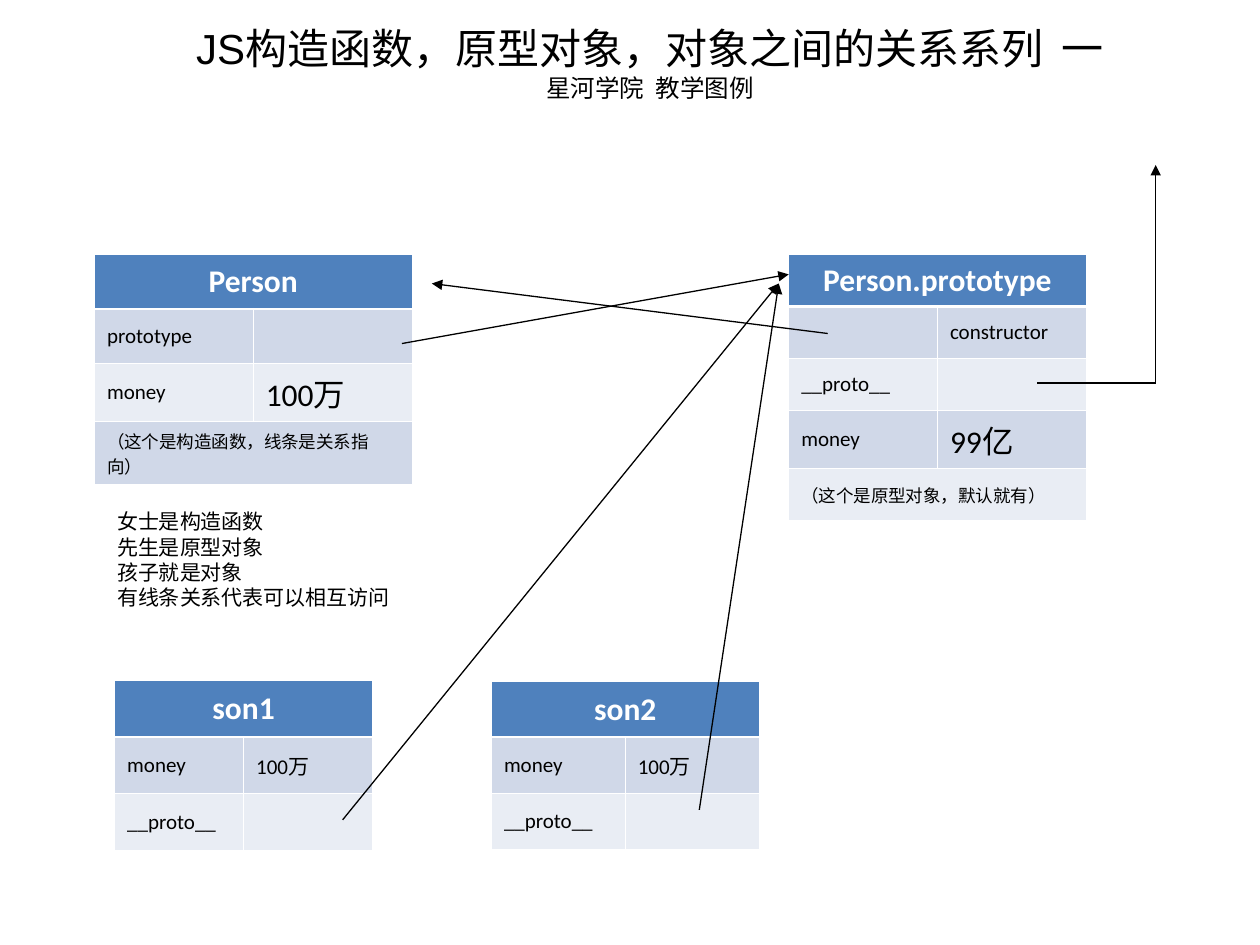
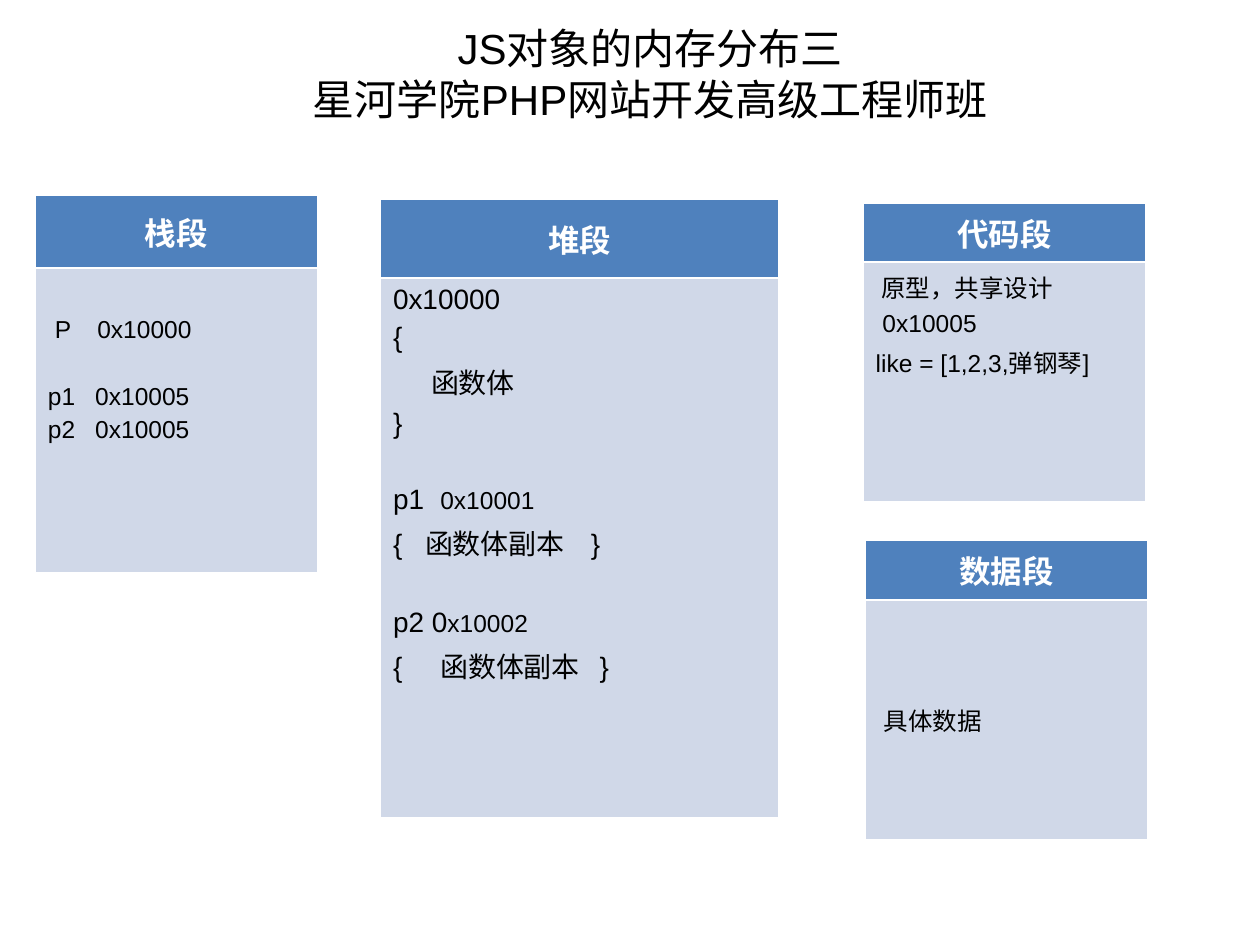
import pptx
import pptx.dml.color
import pptx.enum.shapes
import pptx.enum.text
import pptx.oxml
import pptx.oxml.ns
import pptx.util

Pt = pptx.util.Pt
ALIGN = pptx.enum.text.PP_ALIGN
ANCHOR = pptx.enum.text.MSO_ANCHOR
COLORS = {
    "header": "4F81BD",
    "band_dark": "D0D8E8",
    "band_light": "E9EDF4",
    "white": "FFFFFF",
    "text": "000000",
}
THIN, THICK = 0.45, 1.47
TITLE_BOX = (42.5, 9.4, 658, 54)


def rgb(name):
    return pptx.dml.color.RGBColor.from_string(COLORS[name])


def xml(tag, attributes="", content=""):
    namespace = pptx.oxml.ns.nsdecls("a")
    return pptx.oxml.parse_xml(f"<a:{tag} {namespace} {attributes}>{content}</a:{tag}>")


def format_run(run, size, font, color="text", bold=False):
    run.font.size = Pt(size)
    run.font.name = font
    run.font.bold = bold
    run.font.color.rgb = rgb(color)


def add_text(slide, box, lines, align=ALIGN.LEFT, wrap=True):
    """Add a text box; lines are (text, size) pairs."""
    shape = slide.shapes.add_textbox(*map(Pt, box))
    frame = shape.text_frame
    frame.word_wrap = wrap
    frame.text = "\n".join(text for text, size in lines)
    for paragraph, (text, size) in zip(frame.paragraphs, lines):
        paragraph.alignment = align
        format_run(paragraph.runs[0], size, "Arial")


def add_title(slide, lines):
    add_text(slide, TITLE_BOX, lines, ALIGN.CENTER)


def add_arrow(slide, start, end, head=True):
    line = slide.shapes.add_connector(
        pptx.enum.shapes.MSO_CONNECTOR.STRAIGHT, *map(Pt, start + end))
    line.line.color.rgb = rgb("text")
    line.line.width = Pt(0.75)
    if head:
        line.line._get_or_add_ln().append(xml("tailEnd", 'type="triangle"'))
    line._element.spPr.append(xml("effectLst"))


def style_cell(cell, fill, top=THIN, bottom=THIN):
    """Fill a cell and draw its white borders."""
    cell.fill.solid()
    cell.fill.fore_color.rgb = rgb(fill)
    properties = cell._tc.get_or_add_tcPr()
    color = f'<a:solidFill><a:srgbClr val="{COLORS["white"]}"/></a:solidFill>'
    sides = {"lnL": THIN, "lnR": THIN, "lnT": top, "lnB": bottom}
    for index, (side, width) in enumerate(sides.items()):
        properties.insert(index, xml(side, f'w="{Pt(width)}"', color))
    cell.vertical_anchor = ANCHOR.MIDDLE


def add_grid(slide, box, column_count, row_heights):
    """Add a table with a blue header row and banded rows below it."""
    frame = slide.shapes.add_table(len(row_heights), column_count, *map(Pt, box))
    table = frame.table
    table.horz_banding = False
    for row, height in zip(table.rows, row_heights):
        row.height = Pt(height)
    for row_index in range(len(row_heights)):
        fill = "header" if row_index == 0 else ("band_light", "band_dark")[row_index % 2]
        for column in range(column_count):
            style_cell(table.cell(row_index, column), fill,
                       THICK if row_index == 1 else THIN,
                       THICK if row_index == 0 else THIN)
    return table


def set_cell(cell, text, size, color="text", bold=False, align=ALIGN.LEFT):
    cell.text_frame.text = text
    paragraph = cell.text_frame.paragraphs[0]
    paragraph.alignment = align
    format_run(paragraph.runs[0], size, "Calibri", color, bold)


def set_header(cell, text):
    set_cell(cell, text, 18, "white", True, ALIGN.CENTER)


def add_object_table(slide, box, name, members, note=None, value_size=18):
    """Add a property table; members are (left, right) texts, note spans the last row."""
    row_count = 1 + len(members) + bool(note)
    table = add_grid(slide, box, 2, [box[3] / row_count] * row_count)
    table.cell(0, 0).merge(table.cell(0, 1))
    set_header(table.cell(0, 0), name)
    for row, member in enumerate(members, 1):
        for column, text in enumerate(member):
            if text:
                size = value_size if text[0].isdigit() else 12
                set_cell(table.cell(row, column), text, size)
    if note:
        table.cell(row_count - 1, 0).merge(table.cell(row_count - 1, 1))
        set_cell(table.cell(row_count - 1, 0), note, 10)


def add_segment(slide, box, header_height, name, lines, top_margin=3.6, anchor=ANCHOR.TOP):
    """Add a memory segment; each line is (runs, space before, indent, tab stops)."""
    table = add_grid(slide, box, 1, [header_height, box[3] - header_height])
    set_header(table.cell(0, 0), name)
    cell = table.cell(1, 0)
    cell.vertical_anchor = anchor
    cell.margin_top = Pt(top_margin)
    frame = cell.text_frame
    for index, (runs, space, indent, tabs) in enumerate(lines):
        paragraph = frame.add_paragraph() if index else frame.paragraphs[0]
        paragraph.space_before = Pt(space)
        properties = paragraph._p.get_or_add_pPr()
        if indent:
            properties.set("marL", str(Pt(indent)))
            properties.set("indent", "0")
        if tabs:
            stops = "".join(f'<a:tab pos="{Pt(stop)}" algn="l"/>' for stop in tabs)
            properties.append(xml("tabLst", "", stops))
        for text, size in runs:
            run = paragraph.add_run()
            run.text = text
            format_run(run, size, "Arial")


def line(text, size=14, space=3.5, indent=0, tabs=()):
    return [(text, size)], space, indent, tabs


def build_prototype_slide(slide):
    add_object_table(slide, (54, 145.4, 181.4, 124.6), "Person",
                     [("prototype", ""), ("money", "100万")],
                     "（这个是构造函数，线条是关系指向）")
    add_object_table(slide, (450.7, 145.4, 170, 148.8), "Person.prototype",
                     [("", "constructor"), ("__proto__", ""), ("money", "99亿")],
                     "（这个是原型对象，默认就有）")
    son_members = [("money", "100万"), ("__proto__", "")]
    add_object_table(slide, (65.5, 389, 147.4, 97), "son1", son_members, value_size=12)
    add_object_table(slide, (280.8, 389.3, 153, 96), "son2", son_members, value_size=12)
    add_text(slide, (59.8, 287.3, 173.5, 84),
             [("女士是构造函数", 12), ("先生是原型对象", 12), ("孩子就是对象", 12),
              ("有线条关系代表可以相互访问", 12)], wrap=False)
    add_title(slide, [("JS构造函数，原型对象，对象之间的关系系列  一", 24),
                      ("星河学院  教学图例", 14)])
    prototype_corner = (445, 162)
    add_arrow(slide, (229.7, 196.3), (450.7, 156.8))
    add_arrow(slide, (195.8, 468.5), prototype_corner)
    add_arrow(slide, (399.6, 462.8), prototype_corner)
    add_arrow(slide, (473, 190.6), (246.8, 162))
    elbow = (660.4, 218.8)
    add_arrow(slide, (592.6, 218.8), elbow, head=False)
    add_arrow(slide, elbow, (660.4, 94.3))


def build_memory_slide(slide):
    add_title(slide, [("JS对象的内存分布三", 24), ("星河学院PHP网站开发高级工程师班", 24)])
    address_tab = (27,)
    add_segment(slide, (20.2, 111.6, 161.3, 215.3), 41.5, "栈段", [
        line(" P\t0x10000", tabs=(28.2,)),
        line("p1\t0x10005", space=22.5, tabs=address_tab),
        line("p2\t0x10005", tabs=address_tab),
    ], top_margin=27.4)
    add_segment(slide, (217.4, 113.8, 227.5, 353.5), 45.2, "堆段", [
        line("0x10000", 16, 4),
        line("{", 16, 4),
        line("函数体", 16, 4, indent=21.7),
        line("}", 16, 4),
        ([("p1\t", 16), ("0x10001", 14)], 25.5, 0, address_tab),
        line("{\t函数体副本\t}", 16, 4, tabs=(18.3, 113)),
        ([("p2 0", 16), ("x10002", 14)], 25.5, 0, ()),
        line("{\t函数体副本\t}", 16, 4, tabs=(27, 118)),
    ])
    add_segment(slide, (493.2, 116.1, 161.3, 170.6), 33.8, "代码段", [
        line(" 原型，共享设计"),
        line(" 0x10005"),
        line("like = [1,2,3,弹钢琴]"),
    ])
    add_segment(slide, (494.6, 308.9, 161.3, 170.6), 33.8, "数据段",
                [line(" 具体数据")], anchor=ANCHOR.MIDDLE)


def main():
    presentation = pptx.Presentation()
    presentation.slide_width, presentation.slide_height = Pt(720), Pt(540)
    blank = presentation.slide_layouts[6]
    for build in (build_prototype_slide, build_memory_slide):
        build(presentation.slides.add_slide(blank))
    presentation.save("out.pptx")


if __name__ == "__main__":
    main()
